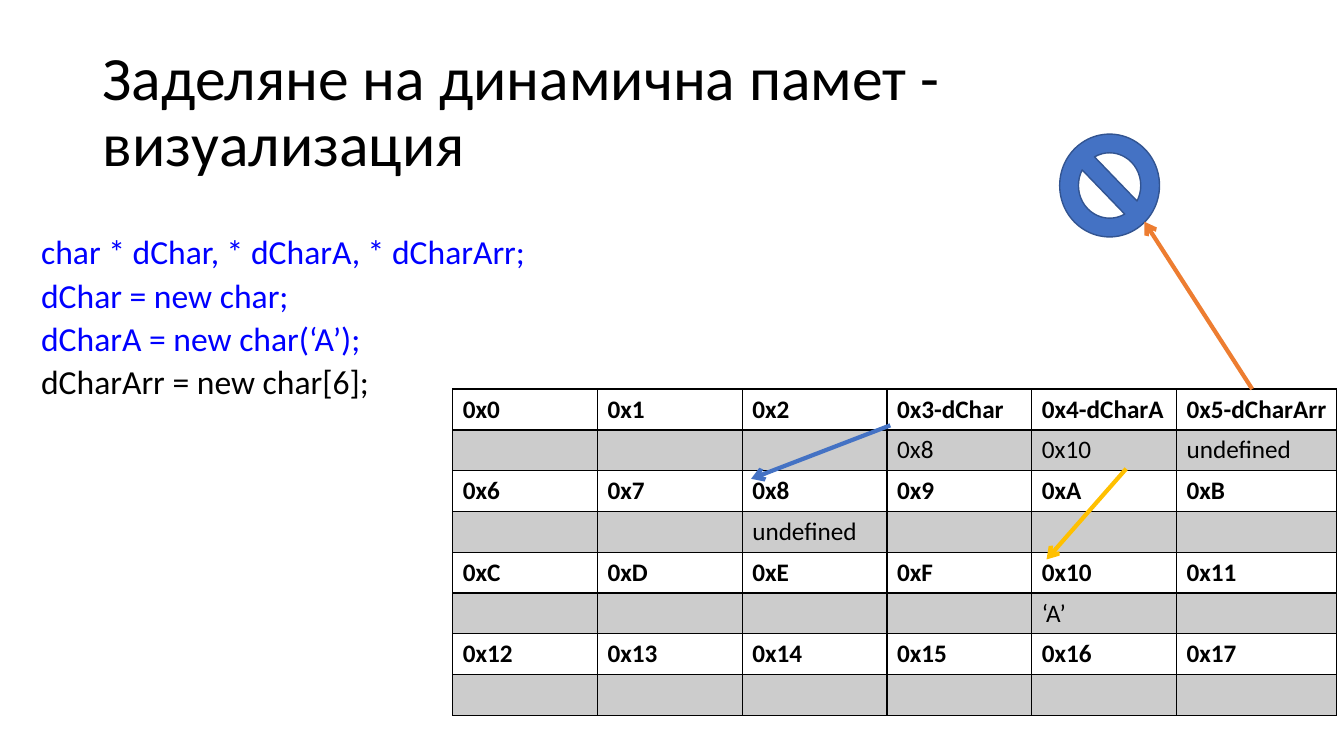
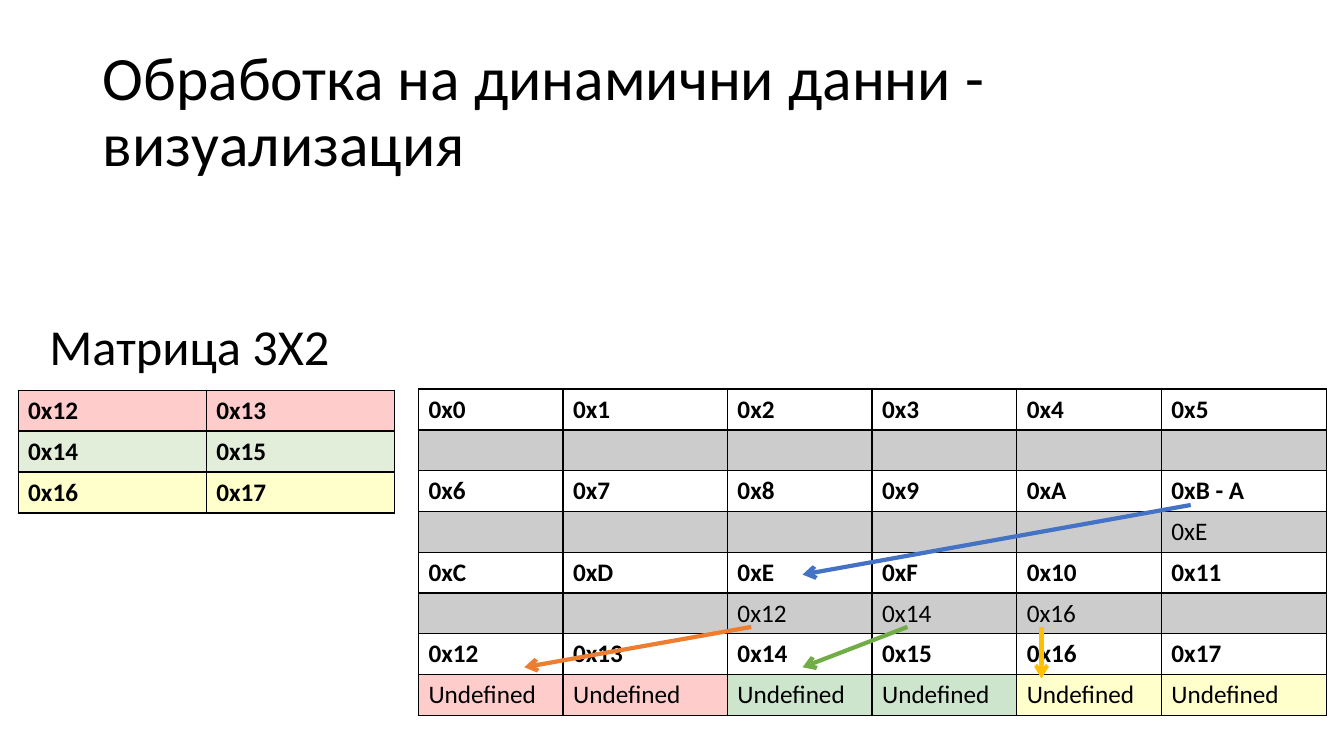
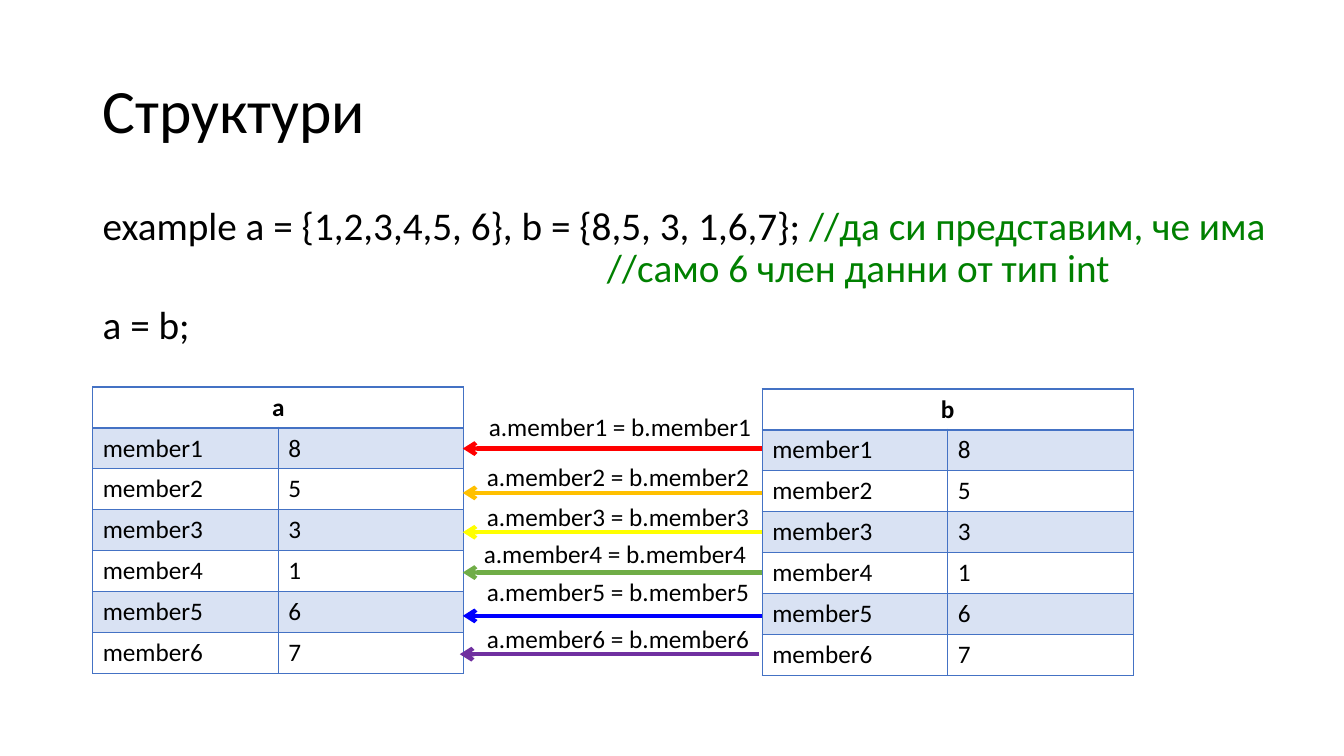
import lxml.etree
import pptx
import pptx.dml.color
import pptx.enum.shapes
import pptx.enum.text
import pptx.oxml.ns
import pptx.util

Inches = pptx.util.Inches
Pt = pptx.util.Pt
qn = pptx.oxml.ns.qn

COLORS = {
    "black": "000000", "blue": "4472C4", "navy": "325491", "orange": "ED7D31",
    "gold": "FFC000", "leaf": "70AD47", "code": "0000FF", "comment": "008000",
    "red": "FF0000", "yellow": "FFFF00", "purple": "7030A0",
    "pink": "FFCCCC", "cream": "FFFFCC",
}
TINT = "20000"
FONT = {"name": "Calibri", "size": Pt(18), "bold": False}
TIGHT = {"line_spacing": 0.9}


def rgb(name):
    """Return the named colour."""
    return pptx.dml.color.RGBColor.from_string(COLORS[name])


def set_format(target, values):
    """Set each attribute in a dict of format values."""
    for name, value in values.items():
        setattr(target, name, value)


class Deck:
    """Holds the shared style and the current slide."""

    def __init__(self):
        """Start an empty widescreen deck."""
        self.file = pptx.Presentation()
        set_format(self.file, {"slide_width": Inches(13.33), "slide_height": Inches(7.5)})
        self.page = None

    def add_page(self, title):
        """Add a slide with its title."""
        self.page = self.file.slides.add_slide(self.file.slide_layouts[6])
        box = self.text((0.92, 0.4, 11.5, 1.45), [[(title, "black")]], 44, TIGHT)
        box.text_frame.vertical_anchor = pptx.enum.text.MSO_ANCHOR.MIDDLE

    def add_spans(self, para, spans, **font):
        """Add coloured spans of text to a paragraph."""
        for words, color in spans:
            span = para.add_run()
            span.text = words
            set_format(span.font, FONT | font)
            span.font.color.rgb = rgb(color)

    def text(self, place, lines, size=18, layout=None, indent=0):
        """Add a text box with one paragraph for each list of spans."""
        box = self.page.shapes.add_textbox(*map(Inches, place))
        frame = box.text_frame
        frame.word_wrap = True
        for number, spans in enumerate(lines):
            para = frame.add_paragraph() if number else frame.paragraphs[0]
            set_format(para, layout or {})
            self.indent(para, indent)
            self.add_spans(para, spans, size=Pt(size))
        return box

    def indent(self, para, inches):
        """Set the left margin of a paragraph."""
        para._p.get_or_add_pPr().set("marL", str(Inches(inches)))

    def label(self, place, words, size=18):
        """Add a single line whose box fits the text."""
        box = self.text(place, [[(words, "black")]], size)
        box.text_frame.auto_size = pptx.enum.text.MSO_AUTO_SIZE.SHAPE_TO_FIT_TEXT

    def arrow(self, start, end, color):
        """Draw a straight arrow."""
        line = self.page.shapes.add_connector(
            pptx.enum.shapes.MSO_CONNECTOR.STRAIGHT, *map(Inches, start + end))
        line.line.width = Pt(3)
        line.line.color.rgb = rgb(color)
        properties = line.element.spPr
        lxml.etree.SubElement(properties.find(qn("a:ln")), qn("a:tailEnd"), type="arrow")
        lxml.etree.SubElement(properties, qn("a:effectLst"))

    def null_sign(self, place):
        """Draw the sign for a pointer that leads nowhere."""
        sign = self.page.shapes.add_shape(
            pptx.enum.shapes.MSO_SHAPE.NO_SYMBOL, *map(Inches, place))
        sign.rotation = 180
        sign.shadow.inherit = False
        sign.fill.solid()
        sign.fill.fore_color.rgb = rgb("blue")
        sign.line.color.rgb = rgb("navy")
        sign.line.width = Pt(1)

    def border(self, cell, color, widths):
        """Draw the left, right, top and bottom cell borders."""
        properties = cell._tc.get_or_add_tcPr()
        for number, (side, width) in enumerate(zip("LRTB", widths)):
            edge = lxml.etree.Element(qn("a:ln" + side), w=str(Pt(width)))
            fill = lxml.etree.SubElement(edge, qn("a:solidFill"))
            lxml.etree.SubElement(fill, qn("a:srgbClr"), val=COLORS[color])
            properties.insert(number, edge)

    def paint(self, cell, color, tinted):
        """Fill a cell, as a light tint if asked, or leave it clear."""
        if color is None:
            cell.fill.background()
            return
        cell.fill.solid()
        cell.fill.fore_color.rgb = rgb(color)
        if tinted:
            for value in cell._tc.tcPr.iter(qn("a:srgbClr")):
                lxml.etree.SubElement(value, qn("a:alpha"), val=TINT)

    def table(self, place, rows, edge="black", wide=None, header=True):
        """Add a table whose cells are (text, bold, fill, tinted)."""
        wide = wide or {}
        count = len(rows[0])
        grid = self.page.shapes.add_table(len(rows), count, *map(Inches, place)).table
        set_format(grid, {"first_row": False, "horz_banding": False})
        rest = (place[2] - sum(wide.values())) / (count - len(wide))
        for number, column in enumerate(grid.columns):
            column.width = Inches(wide.get(number, rest))
        for row in grid.rows:
            row.height = Inches(place[3] / len(rows))
        for down, row in enumerate(rows):
            top = 2 if header and down == 1 else 1
            bottom = 2 if header and down == 0 else 1
            for across, (words, bold, fill, tinted) in enumerate(row):
                cell = grid.cell(down, across)
                self.paint(cell, fill, tinted)
                self.border(cell, edge, (1, 1, top, bottom))
                if words:
                    self.add_spans(cell.text_frame.paragraphs[0], [(words, "black")], bold=bold)
        return grid

    def memory(self, place, names, values, wide, fills=None):
        """Show 24 memory cells, each address above its value."""
        fills = fills or {}
        rows = []
        for first in range(0, 24, 6):
            group = range(first, first + 6)
            rows.append([(f"0x{n:X}" + names.get(n, ""), True, None, False) for n in group])
            rows.append([(values.get(n, ""), False, fills.get(n, "black"), True)
                         for n in group])
        self.table(place, rows, wide=wide)

    def structure(self, left, top, name, values):
        """Show a structure with its members and their values."""
        rows = [[(name, True, None, False), ("", False, None, False)]]
        for number, value in enumerate(values, 1):
            fill = "blue" if number % 2 else None
            rows.append([(words, False, fill, True)
                         for words in (f"member{number}", str(value))])
        grid = self.table((left, top, 3.68, 2.84), rows, edge="blue")
        heading = grid.cell(0, 0)
        heading.merge(grid.cell(0, 1))
        heading.text_frame.paragraphs[0].alignment = pptx.enum.text.PP_ALIGN.CENTER


def allocation(deck):
    """Build the slide on allocating memory."""
    deck.add_page("Заделяне на динамична памет - визуализация")
    deck.text((-0.19, 2.29, 12.93, 5.82), [
        [("char * dChar, * dCharA, * dCharArr;", "code")],
        [("dChar = new char;", "code")],
        [("dCharA = new char(‘A’);", "code")],
        [("dCharArr = new char[6];", "black")],
    ], 24, TIGHT | {"space_before": Pt(5)}, indent=0.5)
    deck.memory(
        (4.49, 3.86, 8.77, 3.24),
        {3: "-dChar", 4: "-dCharA", 5: "-dCharArr"},
        {3: "0x8", 4: "0x10", 5: "undefined", 8: "undefined", 16: "‘A’"},
        {5: 1.59})
    deck.null_sign((10.51, 1.33, 0.99, 1.02))
    deck.arrow((8.83, 4.22), (7.45, 4.75), "blue")
    deck.arrow((11.17, 4.65), (10.38, 5.55), "gold")
    deck.arrow((12.42, 3.86), (11.35, 2.2), "orange")


def matrix(deck):
    """Build the slide on a matrix in dynamic memory."""
    deck.add_page("Обработка на динамични данни - визуализация")
    row_fills = ("red", "comment", "yellow")
    data = range(0x12, 0x18)
    deck.memory(
        (4.15, 3.86, 9.01, 3.24), {11: " - A"},
        {11: "0xE", 14: "0x12", 15: "0x14", 16: "0x16"} | dict.fromkeys(data, "Undefined"),
        {1: 1.63, 5: 1.64},
        {n: row_fills[(n - data[0]) // 2] for n in data})
    deck.arrow((11.81, 5.01), (7.96, 5.7), "blue")
    deck.arrow((7.45, 6.22), (5.2, 6.62), "orange")
    deck.arrow((9, 6.22), (7.96, 6.62), "leaf")
    deck.arrow((10.33, 6.22), (10.33, 6.73), "gold")
    shades = (("pink", False), ("leaf", True), ("cream", False))
    deck.table((0.18, 3.87, 3.73, 1.22), [
        [(f"0x{n:X}", True, fill, tinted) for n in (first, first + 1)]
        for first, (fill, tinted) in zip(data[::2], shades)
    ], header=False)
    deck.label((0.39, 3.08, 3.52, 0.71), "Матрица 3X2", 36)


def structures(deck):
    """Build the slide on assigning structures."""
    deck.add_page("Структури")
    box = deck.text((0.92, 2, 12.23, 4.76), [
        [("example a = {1,2,3,4,5, 6}, b = {8,5, 3, 1,6,7}; ", "black"),
         ("//да си представим, че има", "comment")],
        [("//само 6 член данни от тип int", "comment")],
        [("a = b;", "black")],
    ], 28, TIGHT | {"space_before": Pt(10)})
    continued = box.text_frame.paragraphs[1]
    continued.space_before = Pt(0)
    deck.indent(continued, 5)
    values = (8, 5, 3, 1, 6, 7)
    deck.structure(7.56, 3.86, "b", values)
    deck.structure(0.92, 3.84, "a", values)
    assignments = (
        (4.59, 4.45, "red", 4.75, 4.03),
        (4.59, 4.89, "gold", 4.73, 4.53),
        (4.59, 5.28, "yellow", 4.73, 4.92),
        (4.59, 5.68, "leaf", 4.7, 5.29),
        (4.59, 6.11, "code", 4.73, 5.67),
        (4.56, 6.49, "purple", 4.73, 6.13),
    )
    for number, (tip, height, color, left, top) in enumerate(assignments, 1):
        deck.arrow((tip + 2.97, height), (tip, height), color)
        deck.label((left, top, 2.96, 0.4), f"a.member{number} = b.member{number}")


deck = Deck()
for build in (allocation, matrix, structures):
    build(deck)
deck.file.save("out.pptx")
